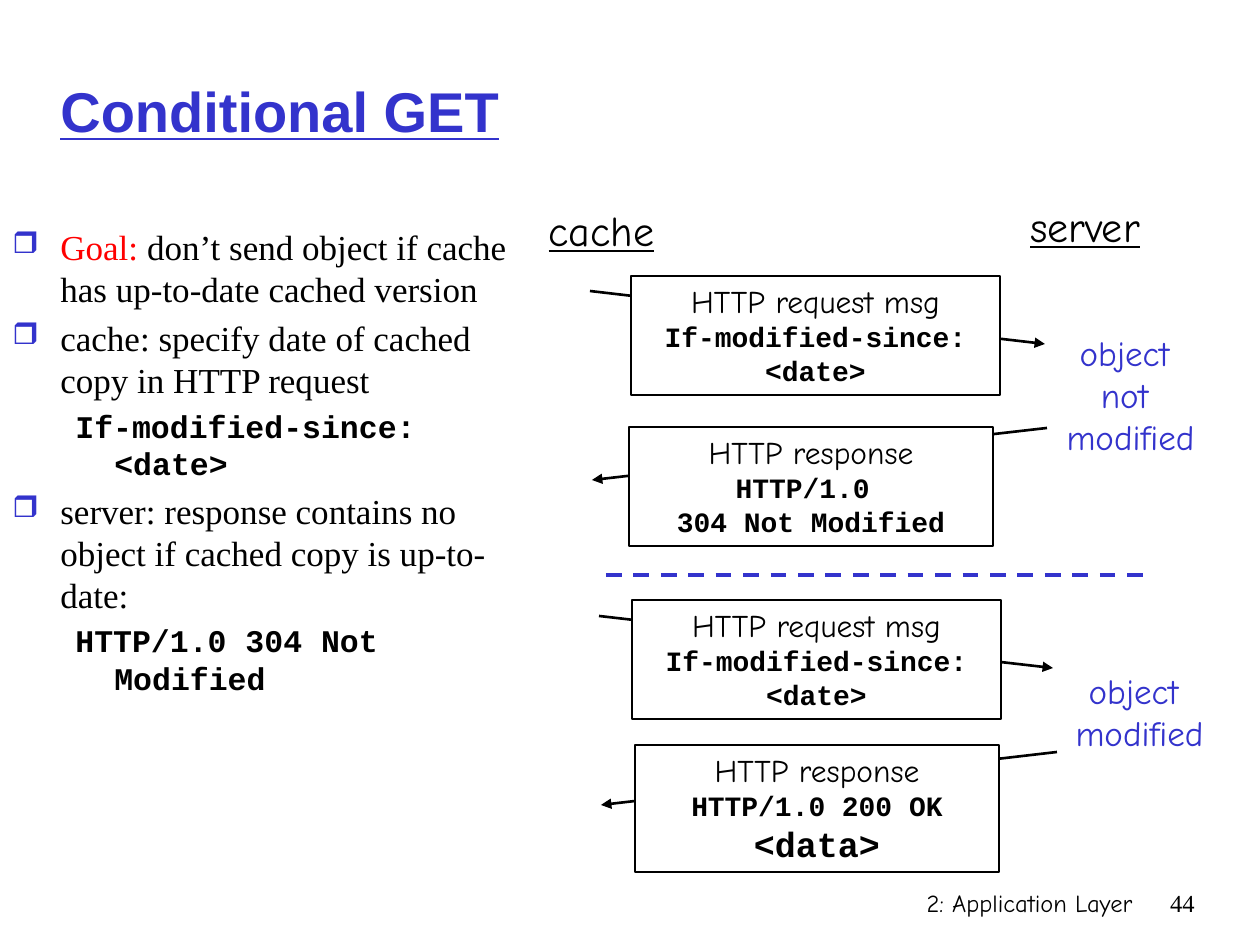
from dataclasses import dataclass

from lxml import etree
from pptx import Presentation
from pptx import util as u
from pptx.dml.color import RGBColor
from pptx.enum import dml, shapes, text
from pptx.oxml import ns

SCALE = 914400 / 126


@dataclass(frozen=True)
class Theme:
    """Colours and (font, size, bold) type styles of the slide."""
    black: str = "000000"
    white: str = "FFFFFF"
    blue: str = "3333CC"
    red: str = "FF0000"
    title: tuple = ("Arial", 32, True)
    body: tuple = ("Times New Roman", 20, False)
    body_code: tuple = ("Courier New", 18, True)
    heading: tuple = ("Comic Neue", 24, False)
    note: tuple = ("Comic Neue", 20, False)
    message: tuple = ("Comic Neue", 18, False)
    code: tuple = ("Courier New", 16, True)
    data: tuple = ("Courier New", 20, True)
    footer: tuple = ("Comic Neue", 14, False)
    number: tuple = ("Times New Roman", 14, False)


T = Theme()
CENTER, LEFT, RIGHT = text.PP_ALIGN.CENTER, text.PP_ALIGN.LEFT, text.PP_ALIGN.RIGHT


def px(n):
    """Turn pixels into EMU."""
    return u.Emu(round(n * SCALE))


def style_run(r, style, color, underline=None):
    """Apply a type style and colour to a run."""
    r.font.name, size, r.font.bold = style
    r.font.size = u.Pt(size)
    r.font.color.rgb = RGBColor.from_string(color)
    r.font.underline = underline


def fill_text(tf, lines, align, color, underline=None):
    """Write (text, style) lines as the paragraphs of a frame."""
    tf.text = "\n".join(line for line, _ in lines)
    for p, (_, style) in zip(tf.paragraphs, lines):
        p.alignment = align
        for r in p.runs:
            style_run(r, style, color, underline)


def add_label(s, box, lines, align=CENTER, color=T.black, underline=None, wrap=False):
    """Add a text box and return its frame."""
    tf = s.shapes.add_textbox(*map(px, box)).text_frame
    tf.word_wrap = wrap
    fill_text(tf, lines, align, color, underline)
    return tf


def add_line(s, start, end, color, width):
    """Add a straight line without a shadow."""
    line = s.shapes.add_connector(shapes.MSO_CONNECTOR.STRAIGHT, *map(px, start + end))
    line.line.color.rgb = RGBColor.from_string(color)
    line.line.width = u.Pt(width)
    etree.SubElement(line._element.spPr, ns.qn("a:effectLst"))
    return line


def add_message(s, start, end, box, lines):
    """Add an arrow with a message box lying over it."""
    arrow = add_line(s, start, end, T.black, 1.5)
    etree.SubElement(arrow.line._get_or_add_ln(), ns.qn("a:tailEnd"), type="triangle")
    sp = s.shapes.add_shape(shapes.MSO_SHAPE.RECTANGLE, *map(px, box))
    sp.shadow.inherit = False
    sp.fill.solid()
    sp.fill.fore_color.rgb = RGBColor.from_string(T.white)
    sp.line.color.rgb = RGBColor.from_string(T.black)
    sp.line.width = u.Pt(0.75)
    sp.text_frame.word_wrap = True
    sp.text_frame.vertical_anchor = text.MSO_ANCHOR.TOP
    fill_text(sp.text_frame, lines, CENTER, T.black)


def indent(p, margin, hanging):
    """Give a paragraph a left margin and a hanging first line."""
    pPr = p._p.get_or_add_pPr()
    pPr.set("marL", str(px(margin)))
    pPr.set("indent", str(-px(hanging)))
    return pPr


def add_bullet(p):
    """Give a paragraph a blue box bullet."""
    pPr = indent(p, 48, 48)
    color = etree.SubElement(pPr, ns.qn("a:buClr"))
    etree.SubElement(color, ns.qn("a:srgbClr"), val=T.blue)
    etree.SubElement(pPr, ns.qn("a:buSzPct"), val="85000")
    etree.SubElement(pPr, ns.qn("a:buChar"), char="❒")


def add_body(s, box, items):
    """Add the list of bulleted points and indented code lines."""
    tf = s.shapes.add_textbox(*map(px, box)).text_frame
    tf.word_wrap = True
    for i, (style, runs) in enumerate(items):
        p = tf.add_paragraph() if i else tf.paragraphs[0]
        if style == T.body:
            add_bullet(p)
        else:
            p.level = 1
            indent(p, 102, 39)
        if i:
            p.space_before = u.Pt(style[1] * 0.2)
        for words, color in runs:
            r = p.add_run()
            r.text = words
            style_run(r, style, color)


def main():
    """Build the slide and save it."""
    prs = Presentation()
    prs.slide_width, prs.slide_height = px(1260), px(945)
    s = prs.slides.add_slide(prs.slide_layouts[6])

    add_label(s, (746, 882, 399, 63), [("2: Application Layer", T.footer)], RIGHT, wrap=True)
    add_label(s, (1144, 882, 63, 63), [("44", T.number)], RIGHT, wrap=True)
    title = add_label(s, (48, 32, 1097, 157), [("Conditional GET", T.title)],
                      LEFT, T.blue, True, True)
    title.vertical_anchor = text.MSO_ANCHOR.MIDDLE

    add_body(s, (0, 219, 557, 593), [
        (T.body, [("Goal:", T.red),
                  (" don’t send object if cache has up-to-date cached version", T.black)]),
        (T.body, [("cache: specify date of cached copy in HTTP request", T.black)]),
        (T.body_code, [("If-modified-since: <date>", T.black)]),
        (T.body, [("server: response contains no object if cached copy is up-to-date:", T.black)]),
        (T.body_code, [("HTTP/1.0 304 Not Modified", T.black)]),
    ])

    add_label(s, (533, 198, 137, 63), [("cache", T.heading)], underline=True)
    add_label(s, (1009, 194, 152, 63), [("server", T.heading)], underline=True)

    request = [("HTTP request msg", T.message), ("If-modified-since: <date>", T.code)]
    response = ("HTTP response", T.message)
    add_message(s, (590, 291), (1045, 344), (631, 276, 369, 119), request)
    add_message(s, (1047, 428), (592, 480), (629, 427, 364, 119),
                [response, ("HTTP/1.0 ", T.code), ("304 Not Modified", T.code)])
    divider = add_line(s, (606, 575), (1144, 575), T.blue, 2.25)
    divider.line.dash_style = dml.MSO_LINE.DASH
    add_message(s, (599, 616), (1053, 668), (632, 600, 369, 119), request)
    add_message(s, (1057, 752), (601, 805), (635, 745, 364, 127),
                [response, ("HTTP/1.0 200 OK", T.code), ("<data>", T.data)])

    for box, words in (((1046, 325, 169, 139), ("object ", "not ", "modified")),
                       ((1055, 663, 169, 97), ("object ", "modified"))):
        add_label(s, box, [(word, T.note) for word in words], color=T.blue)

    prs.save("out.pptx")


if __name__ == "__main__":
    main()
